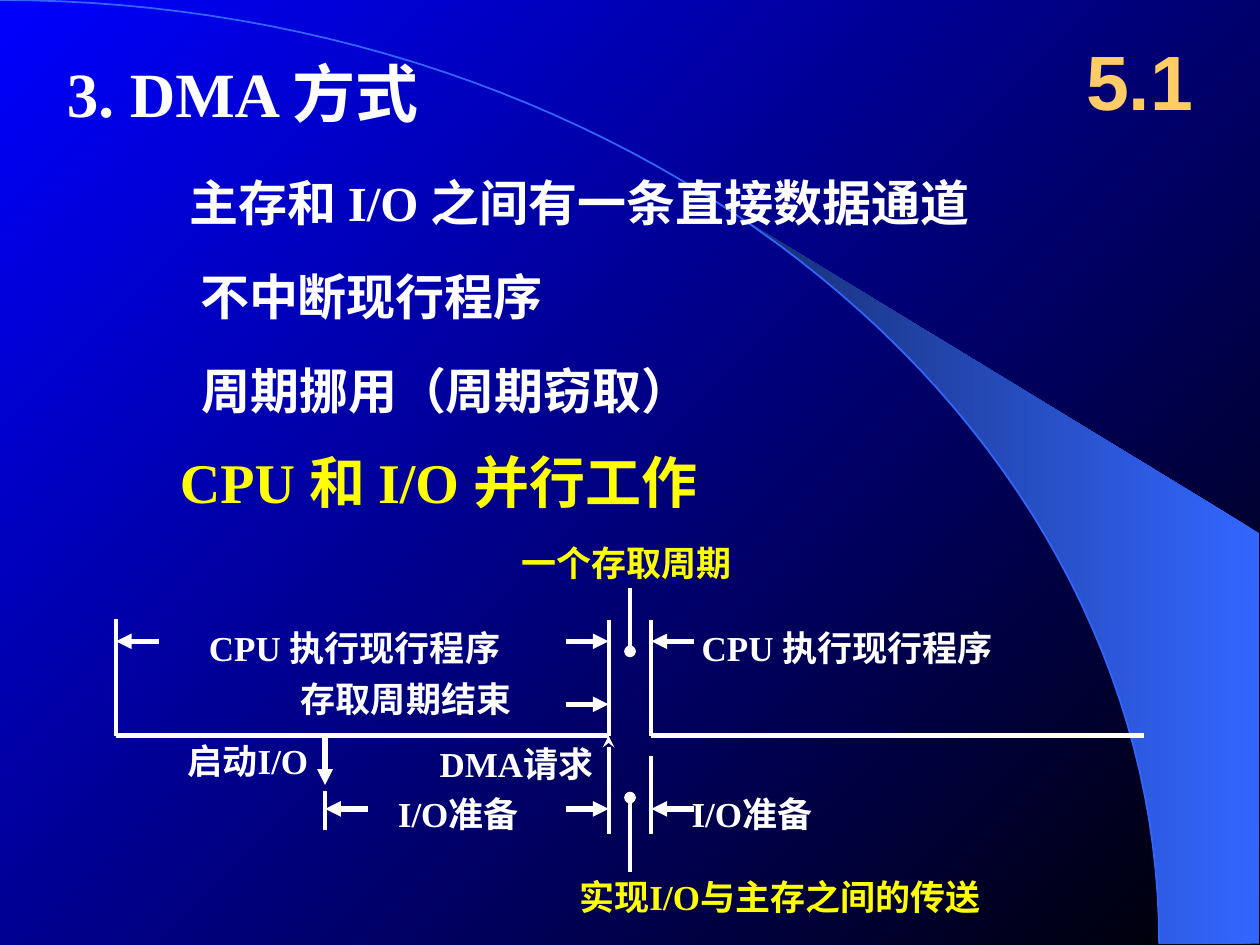
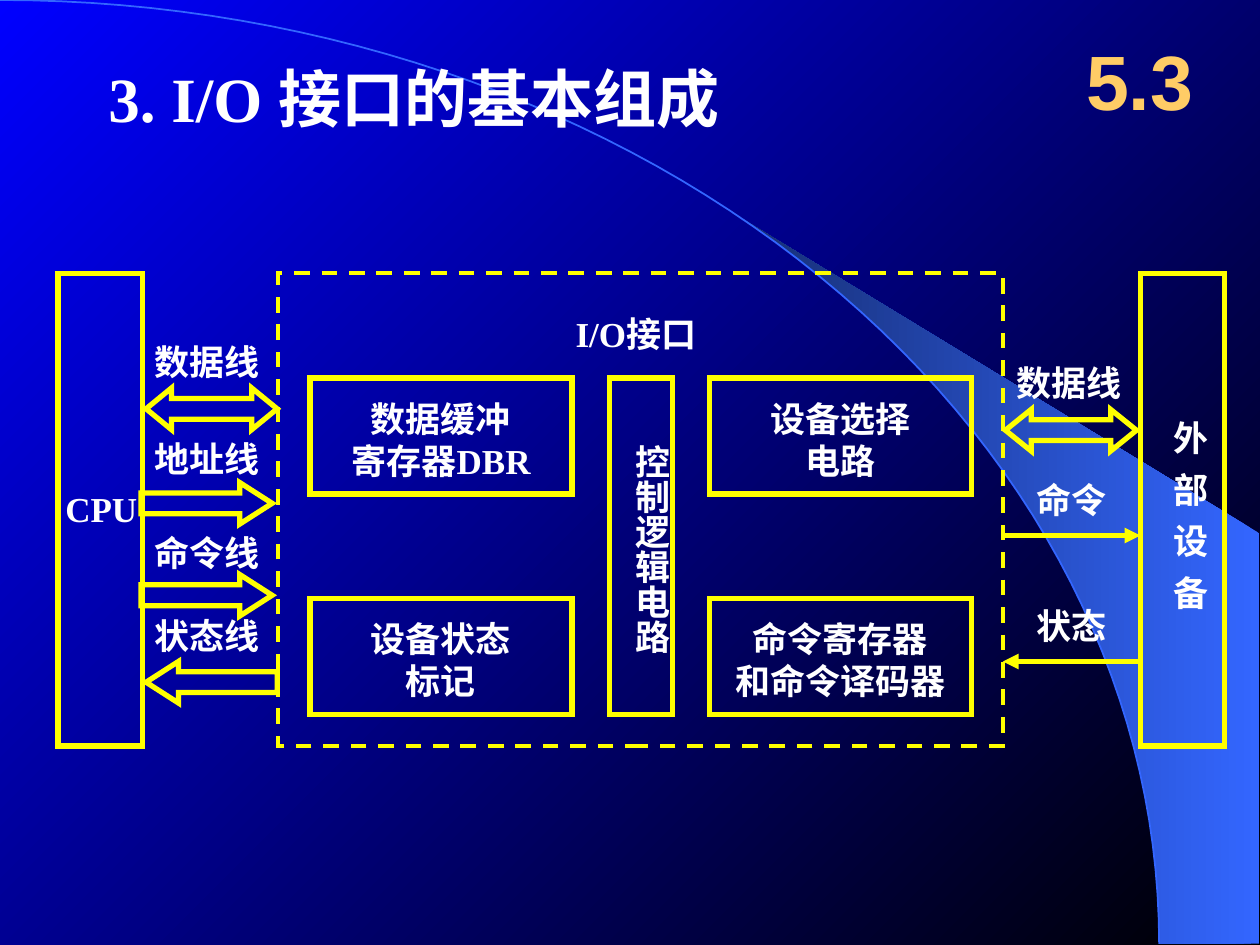
import math

import lxml.etree
import pptx
import pptx.dml.color
import pptx.enum.dml
import pptx.enum.shapes
import pptx.enum.text
import pptx.oxml.ns
import pptx.util

Inches = pptx.util.Inches
SHAPE = pptx.enum.shapes.MSO_SHAPE
ALIGN = pptx.enum.text.PP_ALIGN
ANCHOR = pptx.enum.text.MSO_ANCHOR

WHITE, YELLOW, GOLD = "FFFFFF", "FFFF00", "FFCC66"
BLUE, NAVY, SKY, BLACK = "0000FF", "172F75", "3366FF", "000000"
SERIF, SANS = "Times New Roman", "Arial"


def color(value):
    return pptx.dml.color.RGBColor.from_string(value)


def add_xml(parent, tag, **attributes):
    return lxml.etree.SubElement(parent, pptx.oxml.ns.qn(tag), attributes)


def write(frame, text, size=20, ink=WHITE, font=SERIF, align=ALIGN.LEFT,
          anchor=ANCHOR.TOP, spacing=0):
    """Fill a text frame, one paragraph for each line of text."""
    frame.word_wrap, frame.vertical_anchor = True, anchor
    frame.auto_size = pptx.enum.text.MSO_AUTO_SIZE.NONE
    frame.margin_left = frame.margin_right = Inches(0.1)
    frame.margin_top = frame.margin_bottom = Inches(0.05)
    for index, line in enumerate(text.split("\n")):
        para = frame.add_paragraph() if index else frame.paragraphs[0]
        para.alignment = align
        span = para.add_run()
        span.text = line
        span.font.name, span.font.size, span.font.bold = font, pptx.util.Pt(size), True
        span.font.color.rgb = color(ink)
        if spacing:
            span.font._element.set("spc", str(int(spacing * 100)))


def fill_gradient(fill, start, end, angle):
    fill.gradient()
    fill.gradient_angle = angle
    for stop, value in zip(fill.gradient_stops, (start, end)):
        stop.color.rgb = color(value)


class Builder:
    def __init__(self):
        self.deck = pptx.Presentation()
        self.deck.slide_width, self.deck.slide_height = Inches(10), Inches(7.5)
        self.page = None

    def new_page(self, title, left, top, section):
        self.page = self.deck.slides.add_slide(self.deck.slide_layouts[5])
        box = self.page.shapes.title
        box.left, box.top = Inches(left), Inches(top)
        box.width, box.height = Inches(6), Inches(0.7)
        write(box.text_frame, title, size=36)
        self.text(section, 8.42, 0.17, 1.25, 0.92, size=44, ink=GOLD, font=SANS,
                  align=ALIGN.CENTER, anchor=ANCHOR.MIDDLE)

    def text(self, text, left, top, width, height=0.44, **style):
        box = self.page.shapes.add_textbox(
            Inches(left), Inches(top), Inches(width), Inches(height))
        write(box.text_frame, text, **style)
        return box

    def vertical_text(self, text, left, top, height, **style):
        frame = self.text(text, left, top, 0.53, height, **style).text_frame
        frame.margin_left = frame.margin_right = Inches(0.05)
        frame.margin_top = frame.margin_bottom = Inches(0.1)
        frame._txBody.bodyPr.set("vert", "eaVert")

    def outline(self, left, top, width, height, kind=SHAPE.RECTANGLE,
                weight=3, dashed=False, adjust=(), text=None):
        shape = self.page.shapes.add_shape(
            kind, Inches(left), Inches(top), Inches(width), Inches(height))
        shape.shadow.inherit = False
        shape.fill.background()
        shape.line.color.rgb = color(YELLOW)
        shape.line.width = pptx.util.Pt(weight)
        if dashed:
            shape.line.dash_style = pptx.enum.dml.MSO_LINE.DASH
        add_xml(shape.line._get_or_add_ln(), "a:miter", lim="800000")
        for index, value in enumerate(adjust):
            shape.adjustments[index] = value
        if text:
            write(shape.text_frame, text, align=ALIGN.CENTER, anchor=ANCHOR.MIDDLE)
            shape.text_frame.margin_top = Inches(0.1)

    def line(self, x1, y1, x2, y2, weight=3, ink=WHITE, head=None, tail=None):
        line = self.page.shapes.add_connector(
            pptx.enum.shapes.MSO_CONNECTOR.STRAIGHT,
            Inches(x1), Inches(y1), Inches(x2), Inches(y2))
        line.line.color.rgb = color(ink)
        line.line.width = pptx.util.Pt(weight)
        ends = line.line._get_or_add_ln()
        for tag, end in (("a:headEnd", head), ("a:tailEnd", tail)):
            if end:
                add_xml(ends, tag, type=end)
        add_xml(line._element.spPr, "a:effectLst")

    def master_outline(self, points, closed):
        """Draw a freeform and move it to the slide master."""
        spots = [(Inches(x), Inches(y)) for x, y in points]
        builder = self.page.shapes.build_freeform(*spots[0])
        builder.add_line_segments(spots[1:], close=closed)
        shape = builder.convert_to_shape()
        shape.shadow.inherit = False
        master = self.deck.slide_master.shapes
        shape._element.nvSpPr.cNvPr.set("id", str(len(master) + 10))
        master._spTree.append(shape._element)
        return shape

    def decorate_master(self):
        fill_gradient(self.deck.slide_master.background.fill, BLACK, BLUE, 135)

        def arc(start, steps=60):
            angles = (math.radians(start + (90 - start) * i / steps)
                      for i in range(steps + 1))
            return [(9.2 * math.sin(a), 7.49 * (1 - math.cos(a))) for a in angles]

        band = self.master_outline(arc(39.8) + [(9.99, 7.49), (9.99, 4.23)], True)
        fill_gradient(band.fill, SKY, NAVY, 180)
        band.line.fill.background()
        rim = self.master_outline(arc(0), False)
        rim.fill.background()
        rim.line.color.rgb = color(SKY)
        rim.line.width = pptx.util.Pt(1)


def dma_page(show):
    show.new_page("3. DMA 方式", 0.43, 0.38, "5.1")
    show.decorate_master()

    # Statements
    show.text("主存和 I/O 之间有一条直接数据通道", 1.41, 1.32, 7, 0.57, size=28)
    show.text("不中断现行程序", 1.49, 2.07, 7, 0.57, size=28)
    show.text("周期挪用（周期窃取）", 1.5, 2.81, 7, 0.57, size=28)
    show.text("CPU 和 I/O 并行工作", 1.33, 3.5, 7, 0.64, size=32, ink=YELLOW)

    # Time axis and its marks
    begin, launch, pause, middle, resume, finish = 0.92, 2.58, 4.83, 5, 5.17, 9.08
    axis = 5.84
    show.line(begin, axis, pause, axis)
    show.line(resume, axis, finish, axis)
    for x, top, bottom in ((begin, 4.91, axis), (pause, 4.92, axis),
                           (resume, 4.92, axis), (resume, 6, 6.62),
                           (launch, 6.28, 6.59)):
        show.line(x, top, x, bottom, weight=2.25)
    show.line(pause, axis, pause, 6.62, weight=2.25, head="stealth")
    show.line(launch, axis, launch, 6.23, tail="triangle")
    for top, bottom in ((4.67, 5.17), (6.92, 6.33)):
        show.line(middle, top, middle, bottom, weight=2.25, tail="oval")

    # Short arrows that bound each span
    reach = 0.34
    for x, y, side in ((begin, 5.09, 1), (pause, 5.09, -1), (resume, 5.09, 1),
                       (pause, 5.59, -1), (launch, 6.42, 1),
                       (pause, 6.42, -1), (resume, 6.42, 1)):
        show.line(x + side * reach, y, x, y, tail="triangle")

    # Labels
    for left in (1.56, 5.47):
        show.text("CPU 执行现行程序", left, 4.92, 2.9)
    show.text("存取周期结束", 2.29, 5.33, 2.1)
    show.text("启动I/O", 1.39, 5.82, 1.5)
    show.text("DMA请求", 3.39, 5.84, 1.7)
    for left in (3.06, 5.39):
        show.text("I/O准备", left, 6.24, 1.5)
    show.text("一个存取周期", 4.04, 4.25, 2.1, ink=YELLOW)
    show.text("实现I/O与主存之间的传送", 4.5, 6.9, 3.8, ink=YELLOW)


def interface_page(show):
    show.new_page("3. I/O 接口的基本组成", 0.76, 0.42, "5.3")

    # Processor, interface and device frames
    top, height = 2.17, 3.75
    show.outline(0.46, top, 0.67, height)
    show.outline(2.21, top, 5.75, height, weight=2.25, dashed=True)
    show.outline(9.05, top, 0.67, height)
    show.text("CPU", 0.42, 3.82, 1)
    show.text("I/O接口", 4.47, 2.43, 1.5)
    show.vertical_text("外部设备", 9.13, 3.24, 2.1, spacing=9.5)

    # Parts of the interface
    parts = (("数据缓冲\n寄存器DBR", "设备选择\n电路"),
             ("设备状态\n标记", "命令寄存器\n和命令译码器"))
    for row, names in enumerate(parts):
        for column, name in enumerate(names):
            show.outline(2.46 + 3.17 * column, 3 + 1.75 * row, 2.08, 0.92, text=name)
    show.outline(4.84, 3, 0.5, 2.67)
    show.vertical_text("控制逻辑电路", 4.86, 3.43, 2.1)

    # Lines between processor and interface
    for name, label_top, kind, left, arrow_top, head in (
            ("数据线", 2.65, SHAPE.LEFT_RIGHT_ARROW, 1.16, 3.08, 0.61),
            ("地址线", 3.42, SHAPE.RIGHT_ARROW, 1.12, 3.83, 0.78),
            ("命令线", 4.17, SHAPE.RIGHT_ARROW, 1.12, 4.56, 0.78),
            ("状态线", 4.83, SHAPE.LEFT_ARROW, 1.16, 5.25, 0.78)):
        show.text(name, 1.13, label_top, 1.25)
        show.outline(left, arrow_top, 1.04, 0.33, kind=kind, adjust=(0.5, head))

    # Lines between interface and device
    show.text("数据线", 7.97, 2.82, 1.25)
    show.outline(7.98, 3.25, 1.04, 0.33, kind=SHAPE.LEFT_RIGHT_ARROW, adjust=(0.5, 0.62))
    for name, y, start, end in (("命令", 4.25, 7.96, 9.05), ("状态", 5.25, 9.05, 7.96)):
        show.text(name, 8.13, y - 0.5, 1)
        show.line(start, y, end, y, ink=YELLOW, tail="triangle")


def main():
    show = Builder()
    dma_page(show)
    interface_page(show)
    show.deck.save("out.pptx")


if __name__ == "__main__":
    main()
